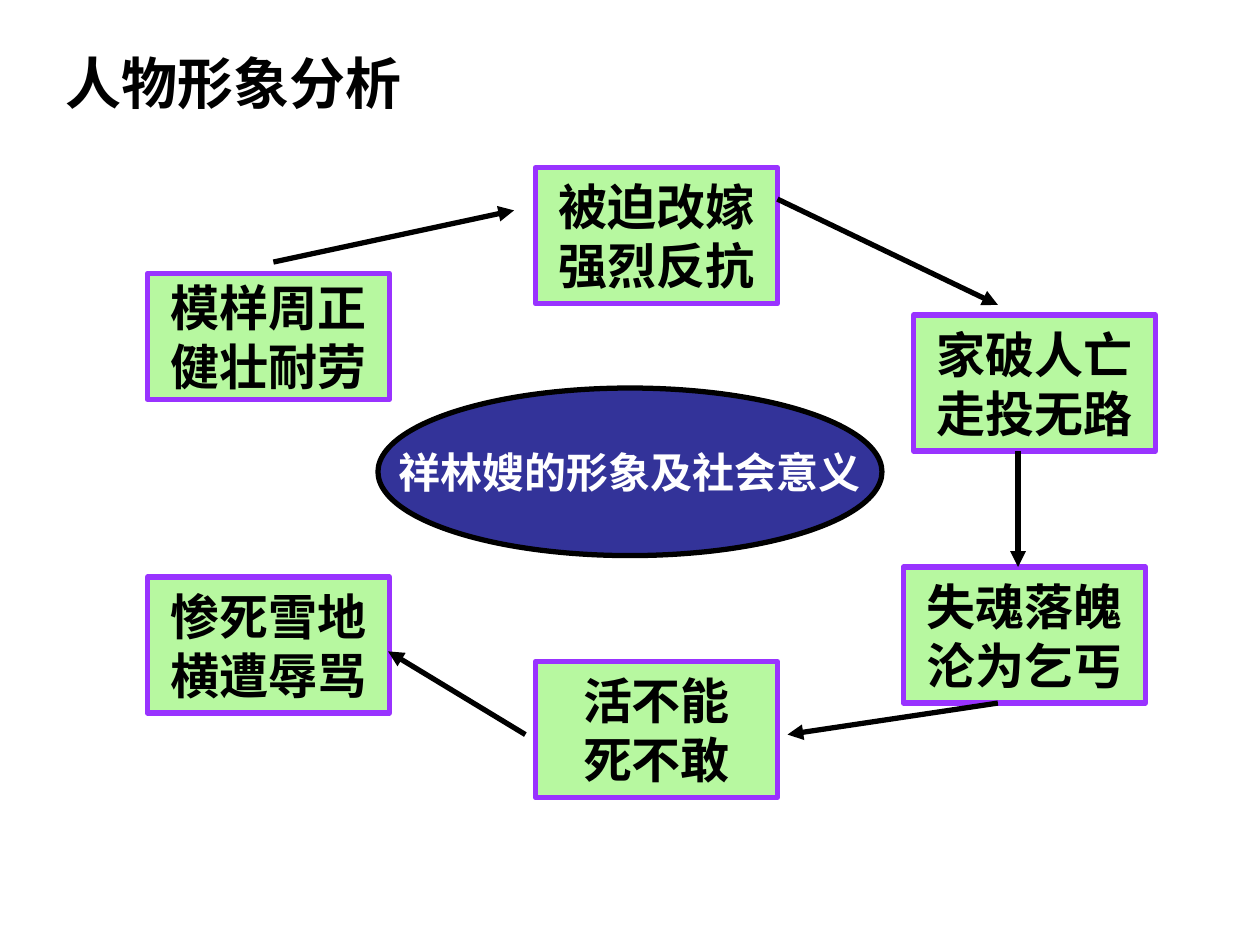
"""Build a slide charting the character analysis as a cycle of boxes."""
from lxml import etree
from pptx import Presentation
from pptx.dml.color import RGBColor
from pptx.enum.shapes import MSO_CONNECTOR, MSO_SHAPE
from pptx.enum.text import MSO_ANCHOR, PP_ALIGN
from pptx.oxml.ns import qn
from pptx.util import Inches, Pt

CJK = "Noto Sans CJK SC"


def rgb(value):
    return RGBColor.from_string(value)


def write(sp, text, size, color, font, align):
    tf = sp.text_frame
    tf.text = text
    tf.word_wrap = False
    tf.vertical_anchor = MSO_ANCHOR.MIDDLE
    for p in tf.paragraphs:
        p.alignment = align
        for r in p.runs:
            r.font.name = font
            r.font.size = Pt(size)
            r.font.bold = True
            r.font.color.rgb = rgb(color)
            etree.SubElement(r.font._element, qn("a:ea"), typeface=CJK)


prs = Presentation()
prs.slide_width, prs.slide_height = Inches(10), Inches(7.5)
s = prs.slides.add_slide(prs.slide_layouts[5])

title = s.shapes.title
title.left, title.top = Inches(0.42), Inches(0.33)
title.width, title.height = Inches(3.67), Inches(0.64)
write(title, "人物形象分析", 32, "000000", CJK, PP_ALIGN.LEFT)

oval, rect = MSO_SHAPE.OVAL, MSO_SHAPE.RECTANGLE
theme = (oval, 3, 3.08, 4, 1.33, "祥林嫂的形象及社会意义", 24, "FFFFFF", "333399", "000000")
stages = [
    (1.17, 2.17, 1, "模样周正\n健壮耐劳"),
    (4.25, 1.33, 1.08, "被迫改嫁\n强烈反抗"),
    (7.25, 2.5, 1.08, "家破人亡\n走投无路"),
    (7.17, 4.5, 1.08, "失魂落魄\n沦为乞丐"),
    (4.25, 5.25, 1.08, "活不能\n死不敢"),
    (1.17, 4.58, 1.08, "惨死雪地\n横遭辱骂"),
]
boxes = [(rect, x, y, 1.92, h, text, 28, "000000", "B7F8A0", "9933FF")
         for x, y, h, text in stages]
for kind, x, y, w, h, text, size, color, fill, line in [theme, *boxes]:
    sp = s.shapes.add_shape(kind, Inches(x), Inches(y), Inches(w), Inches(h))
    sp.shadow.inherit = False
    sp.fill.solid()
    sp.fill.fore_color.rgb = rgb(fill)
    sp.line.color.rgb = rgb(line)
    sp.line.width = Pt(3)
    write(sp, text, size, color, "Times New Roman", PP_ALIGN.CENTER)

arrows = [
    (2.17, 2.08, 4.08, 1.67),
    (6.17, 1.58, 7.92, 2.42),
    (8.08, 3.58, 8.08, 4.5),
    (7.92, 5.58, 6.25, 5.83),
    (4.17, 5.83, 3.08, 5.17),
]
for ends in arrows:
    cn = s.shapes.add_connector(MSO_CONNECTOR.STRAIGHT, *map(Inches, ends))
    cn.line.color.rgb = rgb("000000")
    cn.line.width = Pt(3)
    etree.SubElement(cn.line._get_or_add_ln(), qn("a:tailEnd"), type="triangle")
    etree.SubElement(cn._element.spPr, qn("a:effectLst"))

prs.save("out.pptx")
